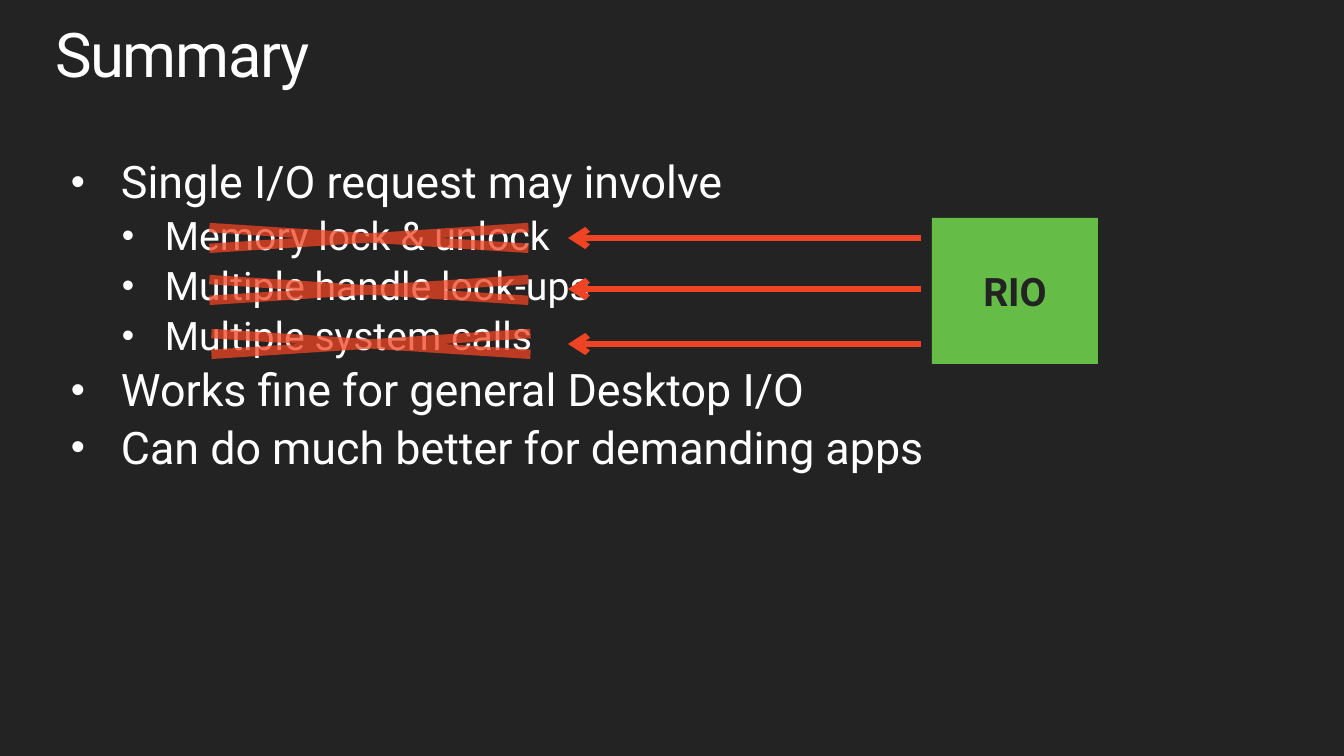
from lxml.etree import SubElement
from pptx import Presentation
from pptx.dml.color import RGBColor
from pptx.enum.shapes import MSO_CONNECTOR, MSO_SHAPE
from pptx.enum.text import MSO_ANCHOR, PP_ALIGN
from pptx.oxml.ns import qn
from pptx.util import Pt

SCALE = 12192000 / 1344
COLORS = {"back": "232323", "text": "FFFFFF", "box": "65BC46", "strike": "EF4423"}
FONT = "Roboto"
BULLETS = [
    (0, "Single I/O request may involve"),
    (1, "Memory lock & unlock"),
    (1, "Multiple handle look-ups"),
    (1, "Multiple system calls"),
    (0, "Works fine for general Desktop I/O"),
    (0, "Can do much better for demanding apps"),
]
LEVELS = [
    {"size": 32, "margin": 50, "hanging": 50},
    {"size": 28, "margin": 94, "hanging": 43},
]
STRIKES = [(62, 218, 238), (62, 270, 289), (64, 324, 344)]


def px(length):
    """Turn pixels into EMU."""
    return round(length * SCALE)


def color(name):
    """Look up a named colour."""
    return RGBColor.from_string(COLORS[name])


def add_element(parent, tag, **attributes):
    """Append a drawing element with attributes."""
    return SubElement(parent, qn(tag), attributes)


def write(para, text, size, fill="text", bold=False, spacing=None):
    """Write one formatted span into a paragraph."""
    span = para.add_run()
    span.text = text
    span.font.name = FONT
    span.font.size = Pt(size)
    span.font.bold = bold
    span.font.color.rgb = color(fill)
    if spacing is not None:
        span.font._element.set("spc", str(spacing))


def add_text_frame(page, box):
    """Add a wrapping text box without margins and return its frame."""
    frame = page.shapes.add_textbox(*map(px, box)).text_frame
    frame.word_wrap = True
    frame.margin_left = frame.margin_right = frame.margin_top = frame.margin_bottom = 0
    return frame


def add_plain_shape(page, kind, box, fill):
    """Add a filled shape with neither outline nor shadow."""
    shape = page.shapes.add_shape(kind, *map(px, box))
    shape.shadow.inherit = False
    shape.fill.solid()
    shape.fill.fore_color.rgb = color(fill)
    shape.line.fill.background()
    return shape


def add_title(page, box):
    """Place the slide title."""
    para = add_text_frame(page, box).paragraphs[0]
    para.line_spacing = 0.9
    write(para, "Summary", 44, spacing=-100)


def add_bullets(page, box):
    """Place the two-level bullet list."""
    frame = add_text_frame(page, box)
    for index, (level, text) in enumerate(BULLETS):
        para = frame.add_paragraph() if index else frame.paragraphs[0]
        style = LEVELS[level]
        para.level = level
        para.line_spacing = 0.9
        properties = para._p.get_or_add_pPr()
        properties.set("marL", str(px(style["margin"])))
        properties.set("indent", str(-px(style["hanging"])))
        before = add_element(properties, "a:spcBef")
        add_element(before, "a:spcPct", val="20000")
        add_element(properties, "a:buSzPct", val="90000")
        add_element(properties, "a:buFont", typeface="Arial")
        add_element(properties, "a:buChar", char="•")
        write(para, text, style["size"])


def add_solution(page, box):
    """Place the labelled solution box."""
    frame = add_plain_shape(page, MSO_SHAPE.RECTANGLE, box, "box").text_frame
    frame.vertical_anchor = MSO_ANCHOR.MIDDLE
    para = frame.paragraphs[0]
    para.alignment = PP_ALIGN.CENTER
    write(para, "RIO", 28, fill="back", bold=True)


def add_strike(page, box):
    """Place a translucent cross over a list item."""
    shape = add_plain_shape(page, MSO_SHAPE.MATH_MULTIPLY, box, "strike")
    tint = shape._element.spPr.find(qn("a:solidFill"))[0]
    add_element(tint, "a:alpha", val="75000")


def add_arrow(page, start, end, y):
    """Place a level arrow pointing from start to end."""
    arrow = page.shapes.add_connector(
        MSO_CONNECTOR.STRAIGHT, px(start), px(y), px(end), px(y))
    arrow.line.color.rgb = color("strike")
    arrow.line.width = Pt(4.5)
    add_element(arrow.line._get_or_add_ln(), "a:tailEnd", type="arrow")
    add_element(arrow._element.spPr, "a:effectLst")


def add_summary(page):
    """Build the summary slide."""
    page.background.fill.solid()
    page.background.fill.fore_color.rgb = color("back")
    add_title(page, (55, 24, 1216, 68))
    add_bullets(page, (71, 160, 898, 325))
    add_solution(page, (932, 218, 166, 146))
    for left, top, _ in STRIKES:
        add_strike(page, (left, top, 614, 40))
    for _, _, y in STRIKES:
        add_arrow(page, 921, 568, y)


def main():
    """Create and save the deck."""
    deck = Presentation()
    deck.slide_width, deck.slide_height = px(1344), px(756)
    add_summary(deck.slides.add_slide(deck.slide_layouts[6]))
    deck.save("out.pptx")


if __name__ == "__main__":
    main()
